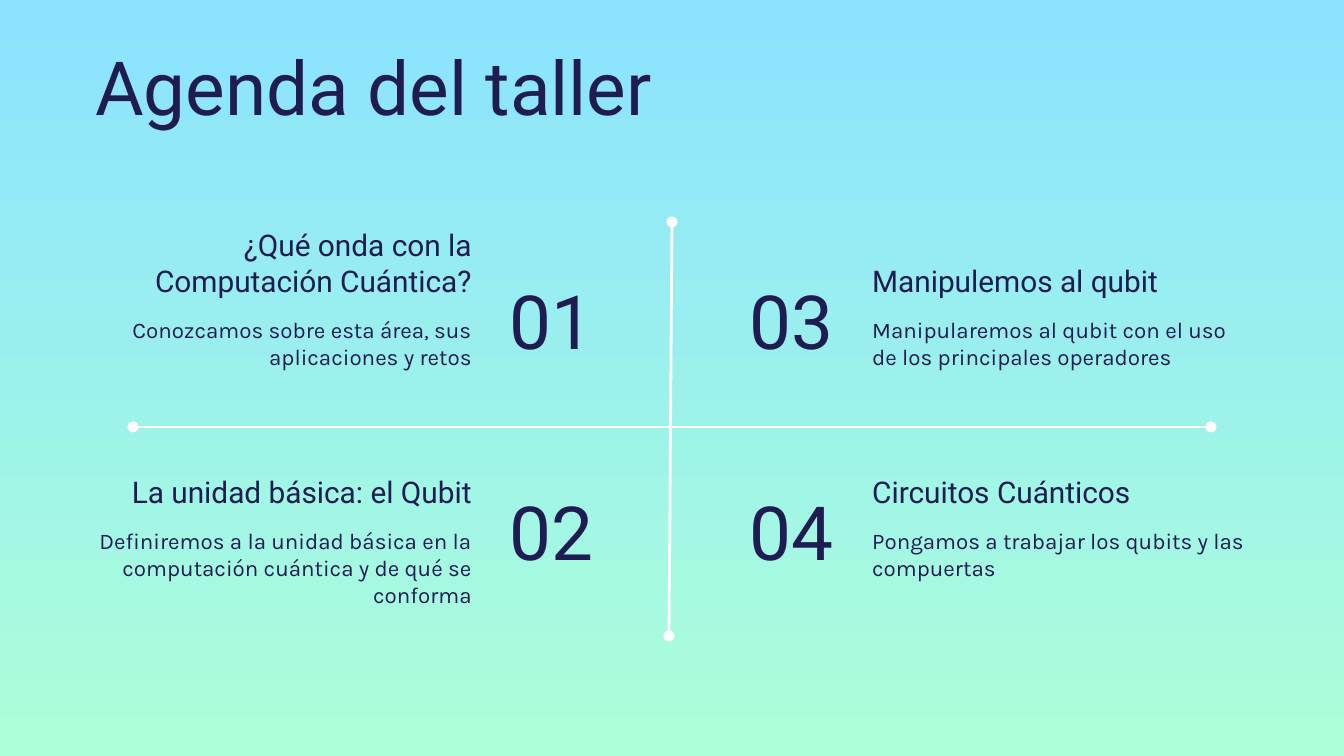
from lxml.etree import SubElement
from pptx import Presentation
from pptx.dml.color import RGBColor
from pptx.enum.shapes import MSO_CONNECTOR
from pptx.enum.text import MSO_ANCHOR, PP_ALIGN
from pptx.oxml.ns import qn
from pptx.util import Pt

TITLE = "Agenda del taller"
COLUMNS = [
    [("01", "¿Qué onda con la Computación Cuántica?",
      "Conozcamos sobre esta área, sus aplicaciones y retos"),
     ("02", "La unidad básica: el Qubit",
      "Definiremos a la unidad básica en la computación cuántica y de qué se conforma")],
    [("03", "Manipulemos al qubit",
      "Manipularemos al qubit con el uso de los principales operadores"),
     ("04", "Circuitos Cuánticos",
      "Pongamos a trabajar los qubits y las compuertas")],
]
AXES = [(672, 222, 669, 636), (133, 427, 1211, 427)]
LAYOUT = [
    {"text_x": 85, "number_x": 496, "text_al": PP_ALIGN.RIGHT, "number_al": PP_ALIGN.LEFT},
    {"text_x": 859, "number_x": 672, "text_al": PP_ALIGN.LEFT, "number_al": PP_ALIGN.RIGHT},
]
ROW_STEP = 211
BACKGROUND = ["8BE3FF", "ACFFD9"]
INK, WHITE = "1F1C51", "FFFFFF"
BIG = {"name": "Roboto", "size": Pt(40)}
HEADING = {"name": "Roboto", "size": Pt(16)}
BODY = {"name": "Karla", "size": Pt(12)}


def px(n):
    return round(n * 914400 / 134.4)


def rgb(value):
    return RGBColor.from_string(value)


def add_text(s, text, box, font, anchor, align=PP_ALIGN.LEFT):
    tf = s.shapes.add_textbox(*map(px, box)).text_frame
    frame = {"word_wrap": True, "vertical_anchor": anchor}
    for side in ("left", "top", "right", "bottom"):
        frame[f"margin_{side}"] = Pt(7.2)
    for key, value in frame.items():
        setattr(tf, key, value)
    p = tf.paragraphs[0]
    p.alignment = align
    r = p.add_run()
    r.text = text
    for key, value in font.items():
        setattr(r.font, key, value)
    r.font.color.rgb = rgb(INK)


def add_axis(s, ends):
    c = s.shapes.add_connector(MSO_CONNECTOR.STRAIGHT, *map(px, ends))
    c.line.color.rgb = rgb(WHITE)
    c.line.width = Pt(1.5)
    ln = c.line._get_or_add_ln()
    for tag in ("a:headEnd", "a:tailEnd"):
        SubElement(ln, qn(tag), type="oval")
    SubElement(c._element.spPr, qn("a:effectLst"))


prs = Presentation()
prs.slide_width, prs.slide_height = px(1344), px(756)
s = prs.slides.add_slide(prs.slide_layouts[6])

fill = s.background.fill
fill.gradient()
fill.gradient_angle = 270
for position, (stop, color) in enumerate(zip(fill.gradient_stops, BACKGROUND)):
    stop.position = position
    stop.color.rgb = rgb(color)

for ends in AXES:
    add_axis(s, ends)

add_text(s, TITLE, (82, 46, 894, 79), BIG, MSO_ANCHOR.MIDDLE)
for col, items in zip(LAYOUT, COLUMNS):
    for row, (number, heading, body) in enumerate(items):
        dy = row * ROW_STEP
        x, align = col["text_x"], col["text_al"]
        add_text(s, number, (col["number_x"], 262 + dy, 175, 116), BIG,
                 MSO_ANCHOR.MIDDLE, col["number_al"])
        add_text(s, heading, (x, 245 + dy, 400, 67), HEADING, MSO_ANCHOR.BOTTOM, align)
        add_text(s, body, (x, 303 + dy, 400, 93), BODY, MSO_ANCHOR.TOP, align)

prs.save("out.pptx")
